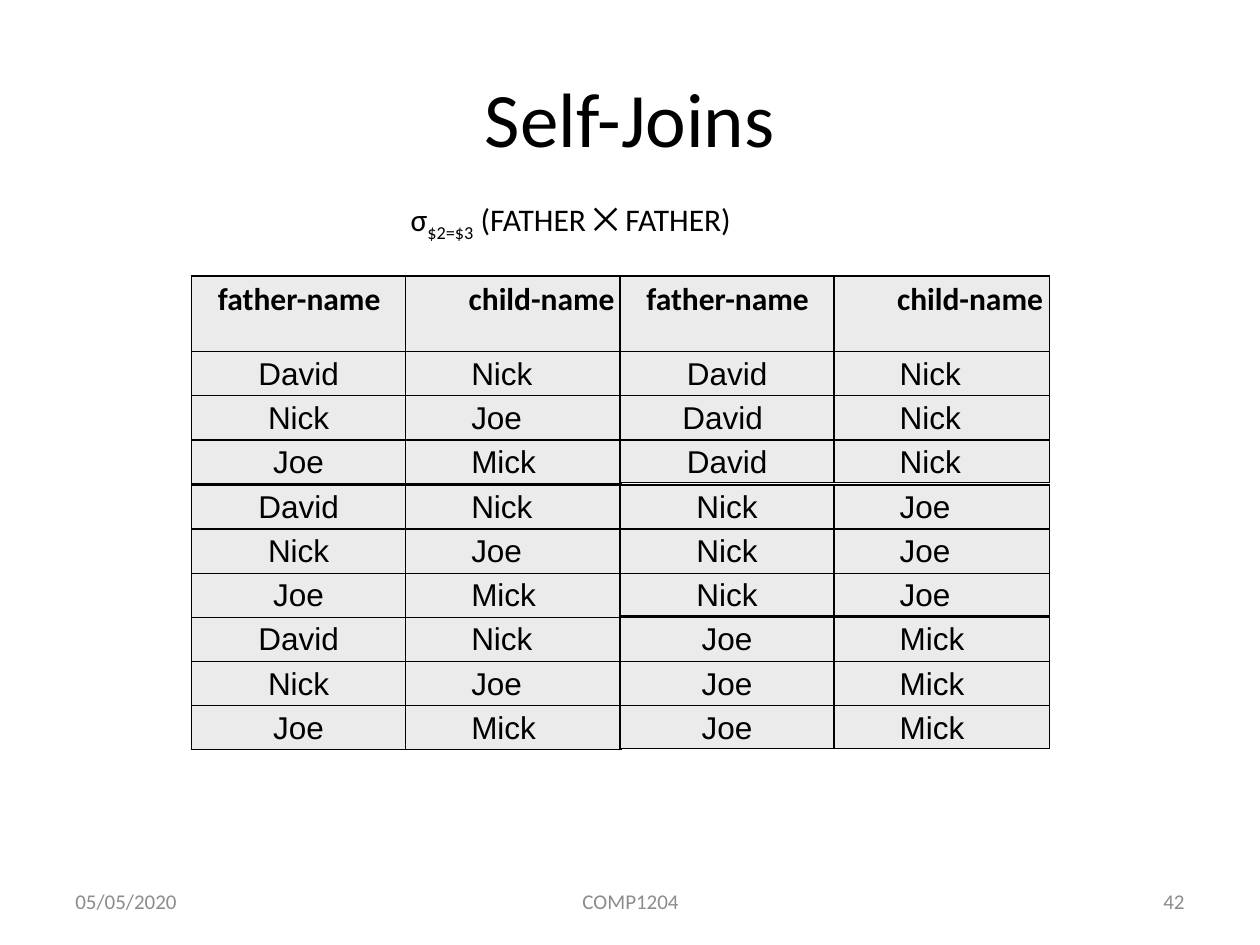
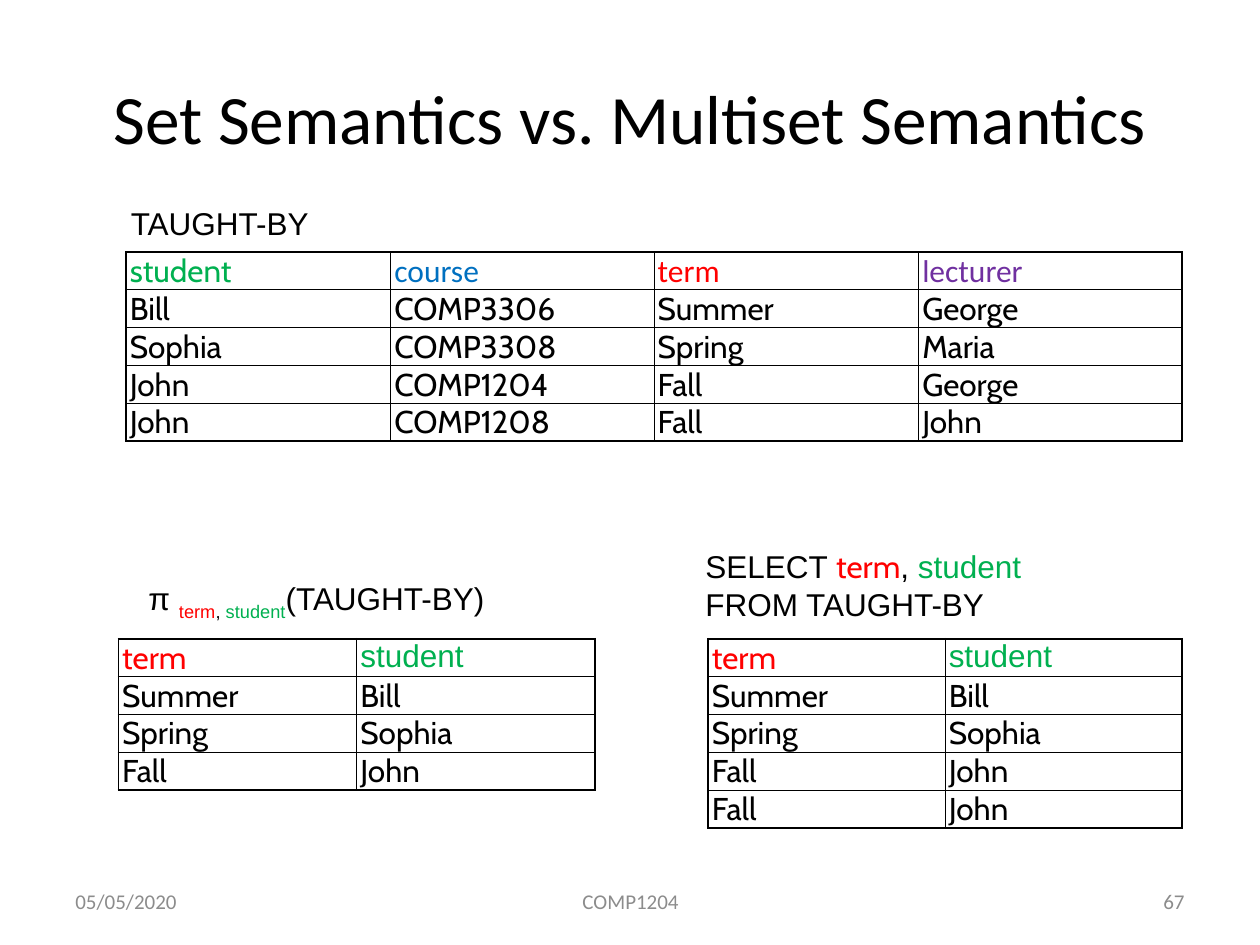
"""Build two slides on self-joins and on set versus multiset semantics."""
from lxml import etree
from pptx import Presentation
from pptx.dml.color import RGBColor
from pptx.enum.text import MSO_ANCHOR, MSO_AUTO_SIZE, PP_ALIGN
from pptx.oxml.ns import qn
from pptx.util import Pt

PX = 9144
LEFT, CENTER, RIGHT = PP_ALIGN.LEFT, PP_ALIGN.CENTER, PP_ALIGN.RIGHT
TOP, MIDDLE, BOTTOM = MSO_ANCHOR.TOP, MSO_ANCHOR.MIDDLE, MSO_ANCHOR.BOTTOM
FIT = MSO_AUTO_SIZE.SHAPE_TO_FIT_TEXT

COLORS = {
    "black": "000000", "grey": "8C8C8C", "cell": "EBEBEB", "red": "FF0000",
    "green": "00B050", "blue": "0070C0", "purple": "7030A0",
}
ARIAL = {"name": "Arial", "size": Pt(18)}
CABIN = {"name": "Cabin", "size": Pt(18)}
CALIBRI = {"name": "Calibri", "size": Pt(18)}
BOLD = {**CALIBRI, "bold": True}
FOOTER = {"name": "Calibri", "size": Pt(12)}

CENTERED_BOX = {"word_wrap": True, "vertical_anchor": MIDDLE}
LABEL_BOX = {"word_wrap": True, "vertical_anchor": TOP, "auto_size": FIT}
CAPTION_BOX = {"word_wrap": False, "vertical_anchor": BOTTOM, "margin_bottom": 35 * PX}
JOIN_CELL = {"margin_left": 0, "margin_top": 4 * PX, "margin_right": 0, "margin_bottom": 0}
QUERY_CELL = {"margin_left": 3 * PX, "margin_top": 0, "margin_right": 3 * PX, "margin_bottom": 0}


def write_text(holder, lines, layout, para_format, indent=0):
    """Fill a text frame or cell with lines of (text, font, color, baseline) spans."""
    for name, value in layout.items():
        setattr(holder, name, value)
    frame = getattr(holder, "text_frame", holder)
    for number, line in enumerate(lines):
        para = frame.add_paragraph() if number else frame.paragraphs[0]
        for name, value in para_format.items():
            setattr(para, name, value)
        if indent:
            para._p.get_or_add_pPr().set("marL", str(indent * PX))
        for text, font, color, *baseline in line:
            span = para.add_run()
            span.text = text
            for name, value in font.items():
                setattr(span.font, name, value)
            span.font.color.rgb = RGBColor.from_string(COLORS[color])
            if baseline:
                span._r.get_or_add_rPr().set("baseline", str(baseline[0] * 1000))


def add_grid(page, left, top, widths, heights, rows, layout, fill, inner, outer):
    """Add a table whose rows hold (text, font, color, paragraph format, indent)."""
    table = page.shapes.add_table(
        len(heights), len(widths), left * PX, top * PX,
        sum(widths) * PX, sum(heights) * PX).table
    table.first_row = table.horz_banding = False
    for column, width in zip(table.columns, widths):
        column.width = width * PX
    for y, (height, row) in enumerate(zip(heights, rows)):
        table.rows[y].height = height * PX
        for x, (text, font, color, para_format, indent) in enumerate(row):
            cell = table.cell(y, x)
            write_text(cell, [[(text, font, color)]], layout, para_format, indent)
            if fill:
                cell.fill.solid()
                cell.fill.fore_color.rgb = RGBColor.from_string(COLORS[fill])
            else:
                cell.fill.background()
            on_edge = {"lnL": x == 0, "lnR": x == len(widths) - 1,
                       "lnT": y == 0, "lnB": y == len(heights) - 1}
            for position, (side, is_edge) in enumerate(on_edge.items()):
                border = etree.Element(qn("a:" + side), w=str(Pt(outer if is_edge else inner)))
                solid = etree.SubElement(border, qn("a:solidFill"))
                etree.SubElement(solid, qn("a:srgbClr"), val=COLORS["black"])
                cell._tc.get_or_add_tcPr().insert(position, border)


deck = Presentation()
deck.slide_width, deck.slide_height = 1000 * PX, 750 * PX
join_page, query_page = [deck.slides.add_slide(deck.slide_layouts[6]) for _ in range(2)]

join_labels = [
    ((316, 154, 401, 40), LABEL_BOX, [[
        ("σ", CALIBRI, "black"), ("$2=$3", CALIBRI, "black", -25),
        (" (FATHER ⨉ FATHER)", CALIBRI, "black")]]),
]
query_labels = [
    ((94, 35, 163, 192), CAPTION_BOX, [[("TAUGHT-BY", ARIAL, "black")]]),
    ((108, 455, 362, 40), LABEL_BOX, [[
        ("π ", ARIAL, "black"), ("term", ARIAL, "red", -25), (", ", ARIAL, "black", -25),
        ("student", ARIAL, "green", -25), ("(TAUGHT-BY)", ARIAL, "black")]]),
    ((550, 429, 500, 71), LABEL_BOX, [
        [("SELECT ", ARIAL, "black"), ("term", CABIN, "red"),
         (", ", ARIAL, "black"), ("student", ARIAL, "green")],
        [("FROM TAUGHT-BY", ARIAL, "black")]]),
]
for page, title, title_size, number, labels in [
        (join_page, "Self-Joins", 44, "42", join_labels),
        (query_page, "Set Semantics vs. Multiset Semantics", 39.6, "67", query_labels)]:
    title_font = {"name": "Calibri", "size": Pt(title_size)}
    boxes = [
        ((50, 30, 900, 125), CENTERED_BOX, [[(title, title_font, "black")]], CENTER),
        ((50, 695, 233, 40), CENTERED_BOX, [[("05/05/2020", FOOTER, "grey")]], LEFT),
        ((342, 695, 317, 40), CENTERED_BOX, [[("COMP1204", FOOTER, "grey")]], CENTER),
        ((717, 695, 233, 40), CENTERED_BOX, [[(number, FOOTER, "grey")]], RIGHT),
    ] + [(*label, LEFT) for label in labels]
    for place, layout, lines, align in boxes:
        box = page.shapes.add_textbox(*[length * PX for length in place])
        write_text(box.text_frame, lines, layout, {"alignment": align})

families = [("David", "Nick"), ("Nick", "Joe"), ("Joe", "Mick")]
join_header = [
    ("father-name", BOLD, "black", {"alignment": CENTER, "space_before": Pt(4)}, 1),
    ("child-name", BOLD, "black", {"alignment": LEFT, "space_before": Pt(4)}, 50),
]
father_format = {"alignment": CENTER, "space_before": Pt(3.9)}
child_format = {"alignment": LEFT, "space_before": Pt(3.9)}
for block, (top, family) in enumerate(zip((219, 385, 490), families)):
    repeated = [family] * 3
    if block == 0:
        repeated[1] = ("David ", "Nick")
    for left, pairs, last_height in [(152, families, 35), (492, repeated, 32)]:
        rows = [[(father, ARIAL, "black", father_format, 0),
                 (child, ARIAL, "black", child_format, 52)] for father, child in pairs]
        heights = [35, 35, last_height]
        if block == 0:
            rows.insert(0, join_header)
            heights.insert(0, 60)
        add_grid(join_page, left, top, (170, 171), heights, rows, JOIN_CELL, "cell", 1, 1)

taught_header = [("student", CABIN, "green"), ("course", CALIBRI, "blue"),
                 ("term", CALIBRI, "red"), ("lecturer", CALIBRI, "purple")]
taught_by = [
    ("Bill", "COMP3306", "Summer", "George"),
    ("Sophia", "COMP3308", "Spring", "Maria"),
    ("John", "COMP1204", "Fall", "George"),
    ("John", "COMP1208", "Fall", "John"),
]
result_header = [("term", CABIN, "red"), ("student", ARIAL, "green")]
multiset = [(term, student) for student, _, term, _ in taught_by]
distinct = list(dict.fromkeys(multiset))
for left, top, widths, header, records in [
        (100, 200, (210, 209) * 2, taught_header, taught_by),
        (94, 507, (189, 189), result_header, distinct),
        (562, 507, (188, 188), result_header, multiset)]:
    body = [[(value, CABIN, "black") for value in record] for record in records]
    rows = [[(*span, {"alignment": LEFT}, 0) for span in row] for row in [header, *body]]
    add_grid(query_page, left, top, widths, [30] * len(rows), rows, QUERY_CELL, None, 0.5, 1.1)

deck.save("out.pptx")
